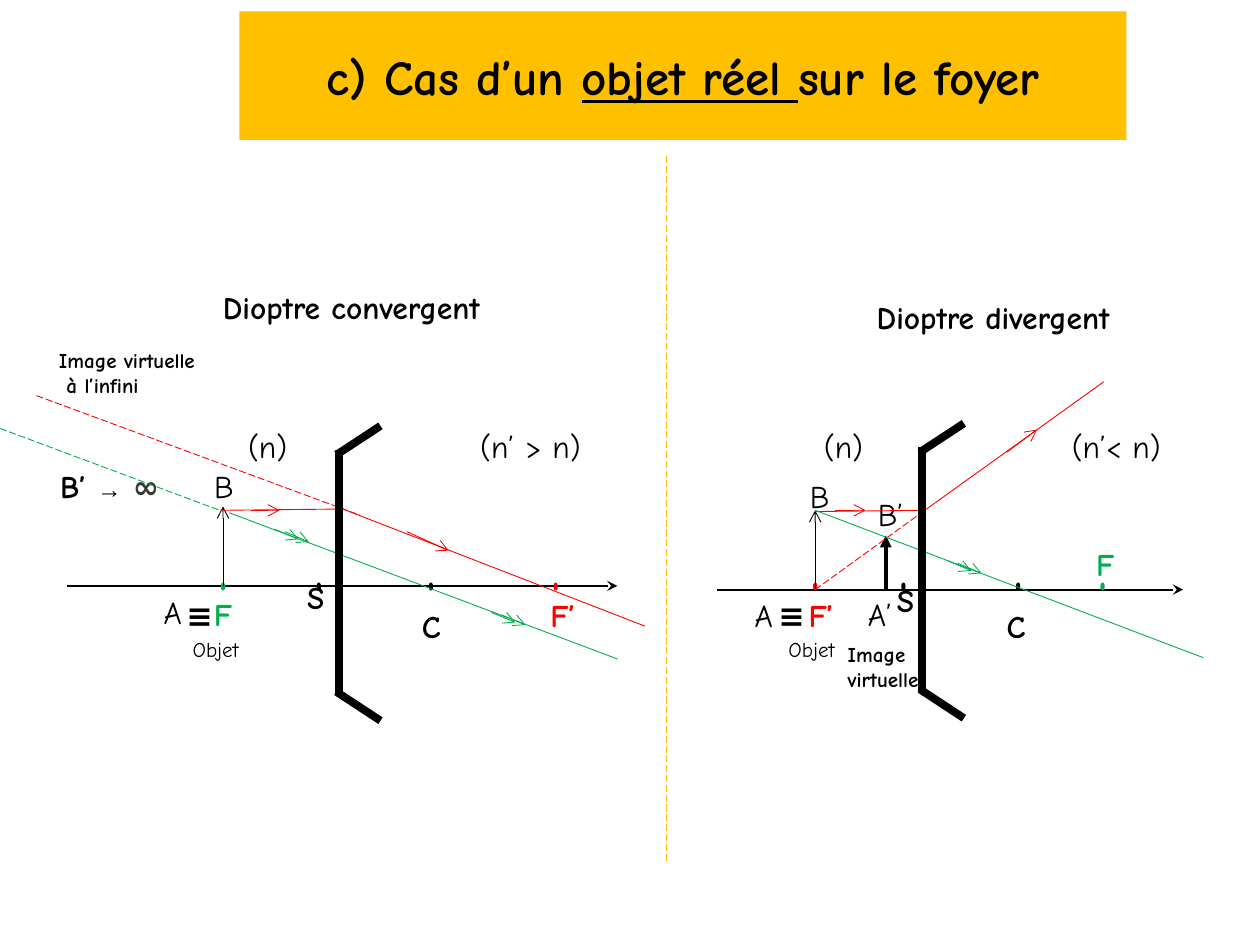
from dataclasses import dataclass
from lxml.etree import SubElement
from pptx import Presentation
from pptx.dml.color import RGBColor
from pptx.enum.dml import MSO_LINE
from pptx.enum.shapes import MSO_CONNECTOR, MSO_SHAPE
from pptx.enum.text import MSO_ANCHOR, MSO_AUTO_SIZE, PP_ALIGN
from pptx.oxml.ns import qn
from pptx.util import Inches, Pt

FONT = "Comic Neue"
BLACK, RED, GREEN, GOLD, GREY = "000000", "FF0000", "00B050", "FFC000", "3B3838"


def paint(target, color):
    target.rgb = RGBColor.from_string(color)


def style(font, size, color, bold):
    font.name, font.size, font.bold = FONT, Pt(size), bold
    paint(font.color, color)


@dataclass
class Panel:
    shapes: object
    left: float
    top: float

    def spot(self, x, y):
        return Inches(self.left + x), Inches(self.top + y)

    def line(self, start, end, color=BLACK, width=0.5, dash=False, head=None):
        link = self.shapes.add_connector(
            MSO_CONNECTOR.STRAIGHT, *self.spot(*start), *self.spot(*end))
        link.line.width = Pt(width)
        paint(link.line.color, color)
        if dash:
            link.line.dash_style = MSO_LINE.LONG_DASH
        props = link.element.spPr
        if head:
            SubElement(props.find(qn("a:ln")), qn("a:tailEnd"), type=head)
        SubElement(props, qn("a:effectLst"))

    def dot(self, x, y, color=BLACK):
        mark = self.shapes.add_shape(
            MSO_SHAPE.OVAL, *self.spot(x, y), Inches(0.02), Inches(0.05))
        mark.shadow.inherit = False
        mark.fill.solid()
        paint(mark.fill.fore_color, color)
        mark.line.width = Pt(1)
        paint(mark.line.color, color)

    def text(self, words, x, y, width=0.3, color=BLACK, bold=False,
             size=18, height=0.4, align=PP_ALIGN.LEFT):
        box = self.shapes.add_textbox(
            *self.spot(x, y), Inches(width), Inches(height))
        frame = box.text_frame
        frame.word_wrap = True
        frame.text = words
        for para in frame.paragraphs:
            para.alignment = align
            style(para.font, size, color, bold)
        return frame

    def note(self, words, x, y, bold=False):
        height = 0.5 if "\n" in words else 0.3
        self.text(words, x, y, 2.2, bold=bold, size=12, height=height)

    def index(self, words, x, width):
        self.text(words, x, 1.14, width, align=PP_ALIGN.CENTER)

    def chevrons(self, x, y):
        for dx, dy in ((0, 0), (0.08, 0.02)):
            self.line((x + dx, y + dy), (x + dx + 0.19, y + dy + 0.08),
                      GREEN, head="arrow")

    def surface(self, x, y):
        low, foot = y + 2.11, y + 2.34
        self.line((x, y + 2.13), (x, y + 0.19), width=4.5)
        self.line((x - 0.02, y + 0.23), (x + 0.33, y), width=4.5)
        self.line((x + 0.33, foot), (x - 0.02, low), width=4.5)


def heading(slide, left, top, width, height):
    title = slide.shapes.title
    title.left, title.top = Inches(left), Inches(top)
    title.width, title.height = Inches(width), Inches(height)
    title.fill.solid()
    paint(title.fill.fore_color, GOLD)
    frame = title.text_frame
    frame.auto_size = MSO_AUTO_SIZE.NONE
    frame.vertical_anchor = MSO_ANCHOR.MIDDLE
    para = frame.paragraphs[0]
    para.alignment = PP_ALIGN.CENTER
    for words in ("c) Cas d’un ", "objet réel ", "sur le foyer"):
        para.add_run().text = words
    para.runs[1].font.underline = True
    style(para.font, 28, BLACK, True)


def infinite(panel, x, y):
    para = panel.text("", x, y, 1.2).paragraphs[0]
    parts = (("B’ ", 18, BLACK), ("→", 14, BLACK), (" ", 18, BLACK), ("∞", 18, GREY))
    for words, size, color in parts:
        run = para.add_run()
        run.text = words
        style(run.font, size, color, True)
    para.runs[1].font.name = "Arial"


def converge(panel):
    panel.line((0.53, 2.45), (4.9, 2.45), width=1.25, head="stealth")
    for x, color in ((2.52, BLACK), (3.41, BLACK), (1.76, GREEN), (4.4, RED)):
        panel.dot(x, 2.43, color)
    panel.text("Dioptre convergent", 1.67, 0.04, 2.68, bold=True)
    panel.index("(n)", 1.67, 0.91)
    panel.index("(n’ > n)", 3.64, 1.14)
    panel.text("S", 2.34, 2.34, bold=True)
    panel.text("C", 3.25, 2.57, bold=True)
    panel.text("A", 1.2, 2.46)
    panel.text("≡", 1.38, 2.48, 0.45, bold=True)
    panel.text("F", 1.6, 2.47, color=GREEN, bold=True)
    panel.text("F’", 4.27, 2.48, 0.57, RED, True)
    panel.text("B", 1.6, 1.46, 0.35)
    infinite(panel, 0.38, 1.46)
    panel.note("Objet", 1.43, 2.8)
    panel.note("Image virtuelle\n à l’infini", 0.37, 0.51, True)
    panel.line((1.77, 2.45), (1.77, 1.82), head="arrow")
    panel.line((1.75, 1.85), (2.73, 1.84), RED)
    panel.line((2.72, 1.84), (5.12, 2.77), RED)
    panel.line((1.82, 1.87), (4.9, 3.03), GREEN)
    panel.line((0.29, 0.94), (2.86, 1.89), RED, dash=True)
    panel.line((0, 1.2), (1.77, 1.86), GREEN, dash=True)
    panel.line((1.99, 1.85), (2.22, 1.85), RED, head="arrow")
    panel.line((3.23, 2.02), (3.56, 2.17), RED, head="arrow")
    panel.chevrons(2.18, 2)
    panel.chevrons(3.9, 2.66)
    panel.surface(2.69, 1.18)


def diverge(panel):
    panel.line((0.39, 2.48), (4.09, 2.48), width=1.25, head="stealth")
    for x, color in ((1.86, BLACK), (2.77, BLACK), (3.44, GREEN), (1.16, RED)):
        panel.dot(x, 2.43, color)
    panel.text("Dioptre divergent", 1.56, 0.12, 2.2, bold=True)
    panel.index("(n)", 0.94, 0.91)
    panel.index("(n’< n)", 2.99, 1.14)
    panel.text("S", 1.72, 2.36, bold=True)
    panel.text("C", 2.59, 2.57, bold=True)
    panel.text("A", 0.59, 2.48)
    panel.text("≡", 0.78, 2.48, 0.45, bold=True)
    panel.text("F’", 1.02, 2.48, 0.46, RED, True)
    panel.text("F", 3.3, 2.08, 0.39, GREEN, True)
    panel.text("B", 1.03, 1.54, 0.35)
    panel.text("A’", 1.49, 2.47, 0.46)
    panel.text("B’", 1.57, 1.68, 0.46)
    panel.note("Objet", 0.86, 2.8)
    panel.note("Image\nvirtuelle", 1.33, 2.84, True)
    panel.line((1.17, 2.48), (1.17, 1.85), head="arrow")
    panel.line((1.73, 2.48), (1.73, 2.05), width=2.25, head="triangle")
    panel.line((1.17, 1.86), (2.04, 1.85), RED)
    panel.line((2.04, 1.85), (3.46, 0.83), RED)
    panel.line((1.17, 2.48), (2.04, 1.85), RED, dash=True)
    panel.line((1.17, 1.85), (4.25, 3.02), GREEN)
    panel.line((1.33, 1.85), (1.57, 1.85), RED, head="arrow")
    panel.line((2.69, 1.39), (2.93, 1.21), RED, head="arrow")
    panel.chevrons(2.22, 2.25)
    panel.surface(2.02, 1.16)


def main():
    deck = Presentation()
    deck.slide_width, deck.slide_height = Inches(10), Inches(7.5)
    slide = deck.slides.add_slide(deck.slide_layouts[5])
    heading(slide, 1.9, 0.09, 7.04, 1.02)
    Panel(slide.shapes, 5.29, 1.24).line((0, 0), (0, 5.6), GOLD, dash=True)
    converge(Panel(slide.shapes, 0, 2.2))
    diverge(Panel(slide.shapes, 5.3, 2.2))
    deck.save("out.pptx")


if __name__ == "__main__":
    main()
